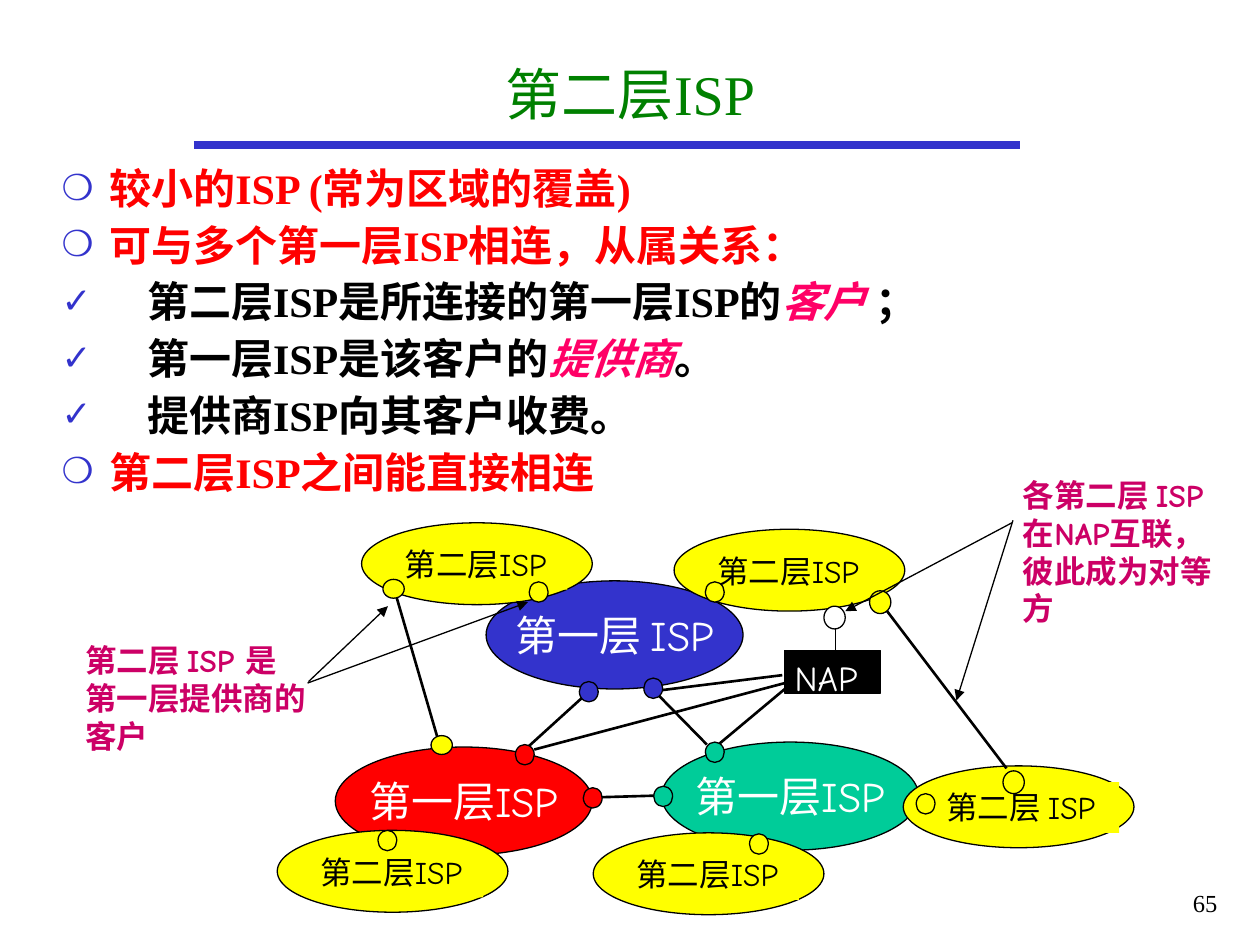
from pptx import Presentation
from pptx.dml.color import RGBColor
from pptx.enum.shapes import MSO_CONNECTOR, MSO_SHAPE
from pptx.enum.text import MSO_ANCHOR, MSO_AUTO_SIZE, PP_ALIGN
from pptx.oxml.ns import qn
from pptx.util import Cm, Pt
from lxml.etree import SubElement

SERIF, COMIC = "Times New Roman", "Comic Neue"
BLUE, RED, GREEN, YELLOW = "3333CC", "FF0000", "00CC99", "FFFF00"
BLACK, WHITE, PINK, PLUM = "000000", "FFFFFF", "FF0066", "CC0066"

TITLE = "第二层ISP"
# bullet, left margin, runs of (text, colour, italic)
BODY = [
    ("❍", 0.96, [("较小的ISP (常为区域的覆盖)", RED, False)]),
    ("❍", 0.96, [("可与多个第一层ISP相连，从属关系：", RED, False)]),
    ("✓", 1.72, [("第二层ISP是所连接的第一层ISP的", BLACK, False),
                 ("客户", PINK, True), (" ；", BLACK, False)]),
    ("✓", 1.72, [("第一层ISP是该客户的", BLACK, False),
                 ("提供商", PINK, True), ("。", BLACK, False)]),
    ("✓", 1.72, [("提供商ISP向其客户收费。", BLACK, False)]),
    ("❍", 0.96, [("第二层ISP之间能直接相连", RED, False)]),
]
TIER_ONE = [("第一层 ISP", 9.8, 11.71, BLUE), ("第一层ISP", 6.76, 15.06, RED),
            ("第一层ISP", 13.34, 14.96, GREEN)]
TIER_TWO = [("第二层ISP", 13.59, 10.67, 3.53), ("第二层ISP", 7.29, 10.54, 3.53),
            ("第二层ISP", 5.59, 16.74, 3.53), ("第二层ISP", 11.96, 16.79, 3.53),
            ("第二层 ISP", 18.21, 15.44, 3.73)]
# width, height, colour, places
NODES = [
    (0.38, 0.41, BLUE, [(11.68, 13.74), (12.98, 13.67)]),
    (0.38, 0.41, GREEN, [(14.22, 14.96), (13.18, 15.85)]),
    (0.38, 0.41, RED, [(10.39, 15.01), (11.76, 15.88)]),
    (0.38, 0.41, YELLOW, [(14.22, 11.73), (10.67, 11.73), (7.62, 16.74),
                          (15.11, 16.81), (18.47, 16)]),
    (0.43, 0.38, YELLOW, [(7.72, 11.68), (8.69, 14.83)]),
    (0.43, 0.46, YELLOW, [(17.53, 11.91), (20.22, 15.54)]),
    (0.43, 0.46, WHITE, [(16.61, 12.22)]),
]
LINKS = [
    (15.88, 13.84, 14.48, 15.01), (15.77, 13.61, 13.28, 13.92),
    (12.14, 16.07, 13.18, 16.04), (13.23, 13.97, 14.25, 15.01),
    (10.64, 15.06, 11.73, 14.07), (15.82, 13.77, 10.77, 15.11),
    (7.98, 11.99, 8.86, 15.01), (17.86, 12.29, 20.29, 15.49),
]
ARROWS = [
    (6.2, 13.77, 10.64, 12.14), (6.22, 13.74, 7.82, 12.22),
    (20.42, 10.49, 19.28, 14.12), (20.4, 10.54, 17.04, 12.32),
]
NOTES = [
    (1.47, 12.8, 4.98, 2.6, ["第二层 ISP 是", "第一层提供商的客户"]),
    (20.37, 9.47, 4.34, 3.33, ["各第二层 ISP在NAP互联，彼此成为对等方"]),
]


def color(code):
    return RGBColor.from_string(code)


def place(shape, *box):
    for name, size in zip(("left", "top", "width", "height"), box):
        setattr(shape, name, Cm(size))


def style(font, code, **values):
    font.color.rgb = color(code)
    for name, value in values.items():
        setattr(font, name, value)


def line(x1, y1, x2, y2, width, code=BLACK, arrow=False):
    link = slide.shapes.add_connector(
        MSO_CONNECTOR.STRAIGHT, Cm(x1), Cm(y1), Cm(x2), Cm(y2))
    link.line.width = Pt(width)
    link.line.color.rgb = color(code)
    props = link._element.spPr
    if arrow:
        SubElement(props.find(qn("a:ln")), qn("a:tailEnd"), type="triangle")
    SubElement(props, qn("a:effectLst"))


def shape(kind, box, fill, edge=True):
    item = slide.shapes.add_shape(kind, *map(Cm, box))
    item.shadow.inherit = False
    item.fill.solid()
    item.fill.fore_color.rgb = color(fill)
    if edge:
        item.line.color.rgb = color(BLACK)
        item.line.width = Pt(0.75)
    else:
        item.line.fill.background()
    return item


def write(item, lines, code, size, align=PP_ALIGN.LEFT, wrap=False,
          anchor=MSO_ANCHOR.TOP, face=COMIC, bold=False):
    frame = item.text_frame
    frame.word_wrap = wrap
    frame.vertical_anchor = anchor
    frame.text = "\n".join(lines)
    for para in frame.paragraphs:
        para.alignment = align
        style(para.font, code, name=face, size=Pt(size), bold=bold)
    return frame


def bullet(para, mark, margin):
    props = para._p.get_or_add_pPr()
    props.set("marL", str(Cm(margin)))
    props.set("indent", str(-Cm(margin)))
    tint = SubElement(props, qn("a:buClr"))
    SubElement(tint, qn("a:srgbClr"), val=BLUE)
    SubElement(props, qn("a:buSzPct"), val="85000")
    SubElement(props, qn("a:buChar"), char=mark)


deck = Presentation()
deck.slide_width, deck.slide_height = Cm(25.4), Cm(19.05)
slide = deck.slides.add_slide(deck.slide_layouts[1])
line(3.91, 2.92, 20.57, 2.92, 4.5, BLUE)

title, body = slide.placeholders
place(title, 1.47, 0.81, 22.48, 2.13)
write(title, [TITLE], "008000", 32, PP_ALIGN.CENTER, True,
      MSO_ANCHOR.MIDDLE, SERIF)
title.text_frame.auto_size = MSO_AUTO_SIZE.NONE

place(body, 0.99, 3.15, 23.44, 7.29)
frame = body.text_frame
frame.auto_size = MSO_AUTO_SIZE.NONE
for index, (mark, margin, runs) in enumerate(BODY):
    para = frame.add_paragraph() if index else frame.paragraphs[0]
    para.space_before = Pt(3.6 if index else 0)
    bullet(para, mark, margin)
    for text, code, slant in runs:
        run = para.add_run()
        run.text = text
        style(run.font, code, name=SERIF, size=Pt(24), bold=True, italic=slant)

number = slide.shapes.add_textbox(Cm(23.06), Cm(17.78), Cm(1.73), Cm(1.27))
write(number, ["65"], BLACK, 14, PP_ALIGN.RIGHT, True, face=SERIF)

for text, x, y, fill in TIER_ONE:
    cloud = shape(MSO_SHAPE.OVAL, (x, y, 5.18, 2.18), fill)
    write(cloud, [text], WHITE, 24, PP_ALIGN.CENTER, anchor=MSO_ANCHOR.MIDDLE)
for text, x, y, width in TIER_TWO:
    shape(MSO_SHAPE.OVAL, (x, y, 4.65, 1.65), YELLOW)
    label = shape(MSO_SHAPE.RECTANGLE, (x + 0.62, y + 0.33, width, 1.02),
                  YELLOW, edge=False)
    write(label, [text], BLACK, 18)

for ends in LINKS:
    line(*ends, 1.5)
line(16.84, 12.65, 16.84, 13.31, 0.75)
nap = shape(MSO_SHAPE.RECTANGLE, (15.82, 13.11, 1.93, 0.86), BLACK)
write(nap, ["NAP"], WHITE, 20).margin_left = Cm(0.2)
for width, height, fill, spots in NODES:
    for x, y in spots:
        shape(MSO_SHAPE.OVAL, (x, y, width, height), fill)

for *box, lines in NOTES:
    note = slide.shapes.add_textbox(*map(Cm, box))
    write(note, lines, PLUM, 18, wrap=True, bold=True)
for ends in ARROWS:
    line(*ends, 0.75, arrow=True)

deck.save("out.pptx")
